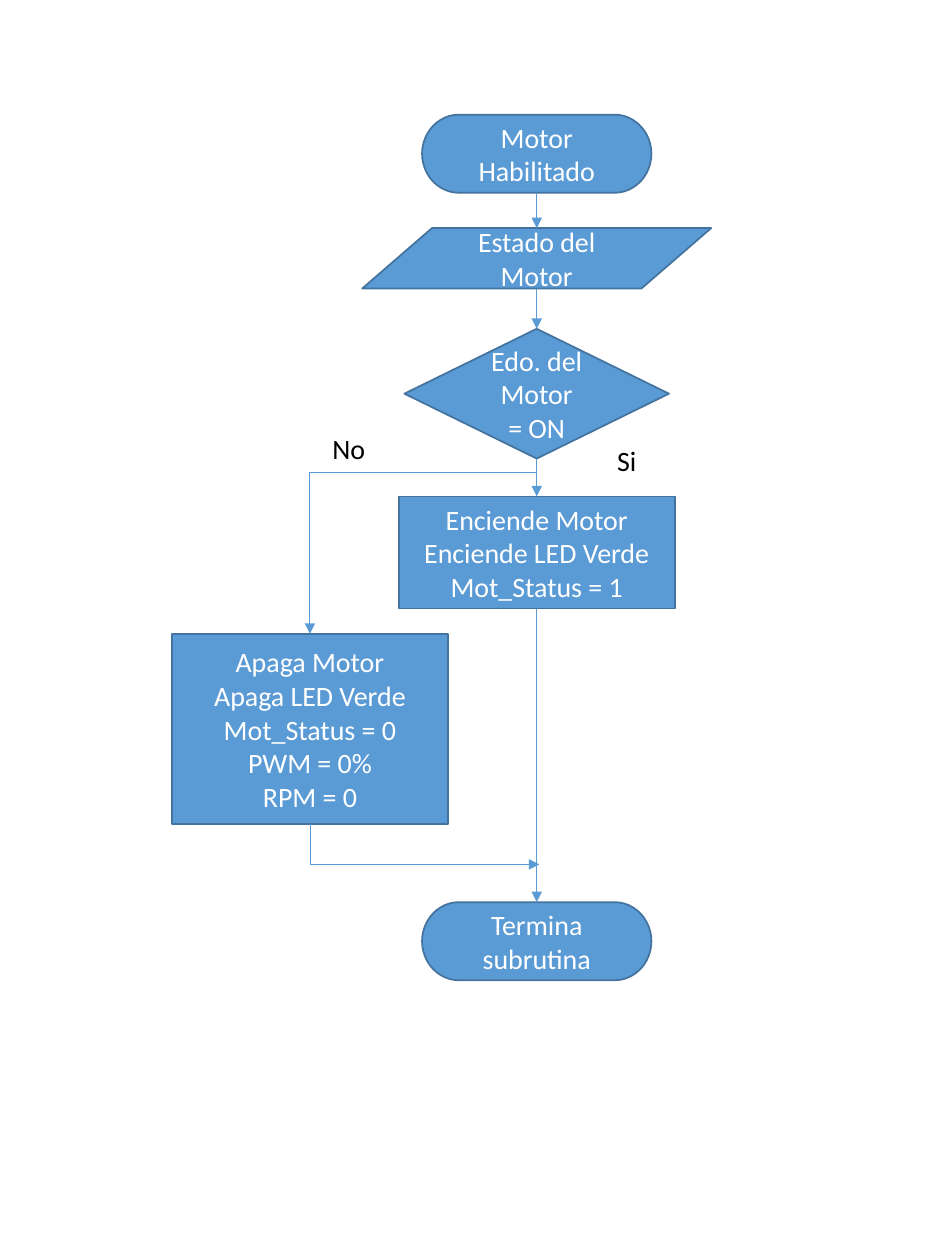
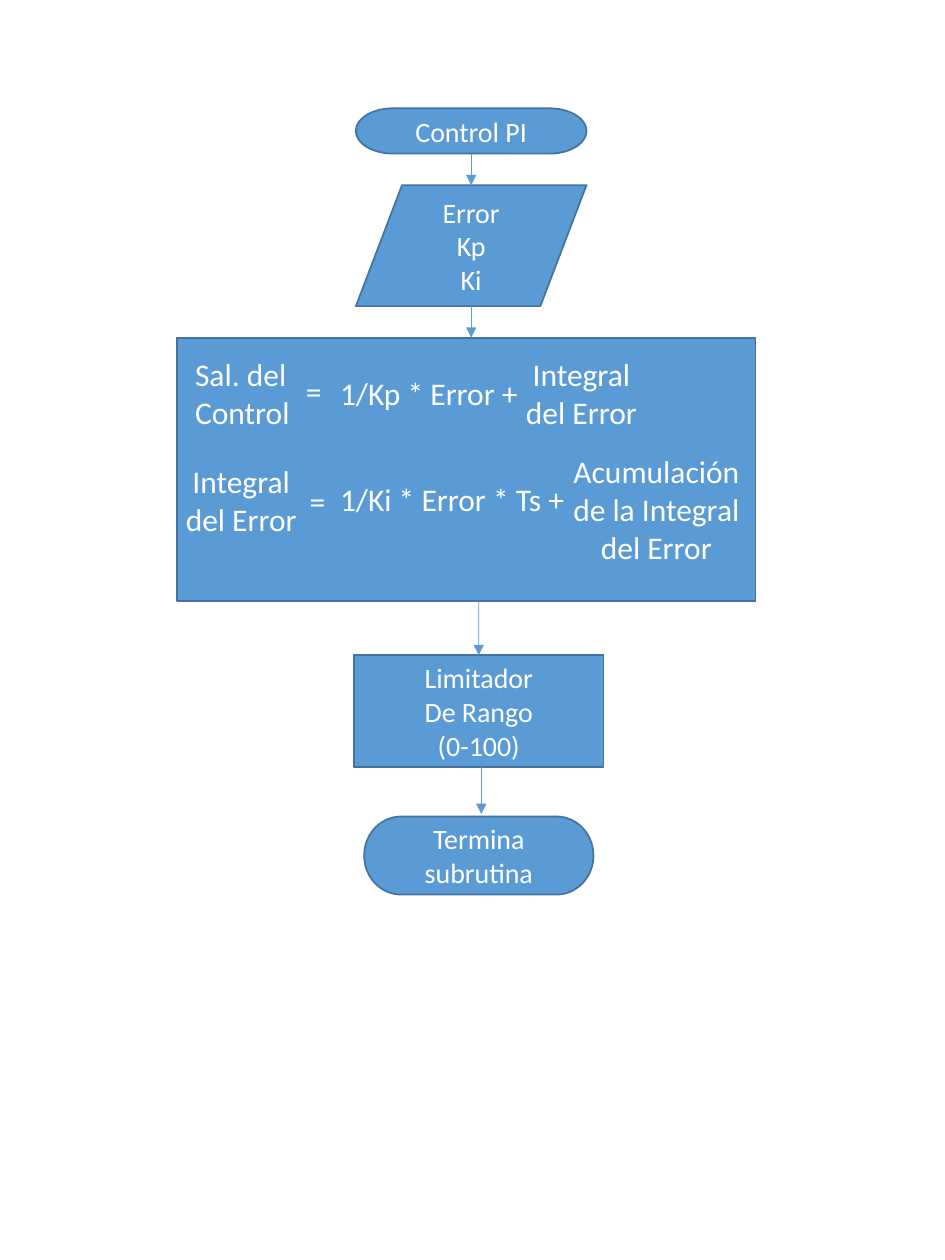
from lxml import etree
from pptx import Presentation
from pptx import util as u
from pptx.dml.color import RGBColor
from pptx.enum import shapes, text
from pptx.oxml import ns

WIDE, HIGH = 7.5, 10
BLUE = RGBColor(0x5B, 0x9B, 0xD5)
EDGE = RGBColor(0x43, 0x73, 0x9E)
WHITE = RGBColor(0xFF, 0xFF, 0xFF)
BLACK = RGBColor(0, 0, 0)
FONT = "Calibri"
TOP, BOTTOM = 0, 2

KIND = shapes.MSO_SHAPE
LINK = shapes.MSO_CONNECTOR
FORMS = {
    "end": KIND.FLOWCHART_TERMINATOR,
    "data": KIND.FLOWCHART_DATA,
    "test": KIND.FLOWCHART_DECISION,
    "step": KIND.FLOWCHART_PROCESS,
}

# Nodes: name -> form, centre x, top, width, height, lines
MID, SIDE = 4.26, 2.46
MOTOR = {
    "start": ("end", MID, 0.91, 1.82, 0.62, ["Motor", "Habilitado"]),
    "state": ("data", MID, 1.81, 2.77, 0.48, ["Estado del Motor"]),
    "check": ("test", MID, 2.61, 2.1, 1.03, ["Edo. del Motor", "= ON"]),
    "on": ("step", MID, 3.94, 2.19, 0.89,
           ["Enciende Motor", "Enciende LED Verde", "Mot_Status = 1"]),
    "off": ("step", SIDE, 5.03, 2.19, 1.51,
            ["Apaga Motor", "Apaga LED Verde", "Mot_Status = 0",
             "PWM = 0%", "RPM = 0"]),
    "stop": ("end", MID, 7.16, 1.82, 0.62, ["Termina subrutina"]),
}
PI = {
    "start": ("end", 3.74, 0.86, 1.83, 0.36, ["Control PI"]),
    "input": ("data", 3.74, 1.47, 1.83, 0.96, ["Error", "Kp", "Ki"]),
    "limit": ("step", 3.8, 5.2, 1.98, 0.89,
              ["Limitador", "De Rango", "(0-100)"]),
    "stop": ("end", 3.8, 6.48, 1.82, 0.62, ["Termina subrutina"]),
}
SUMS = ("step", 3.7, 2.68, 4.59, 2.09, [])

# Arrows: x, top, bottom, node above, node below (None leaves an end free)
MOTOR_ARROWS = [
    (MID, 1.53, 1.81, "start", None),
    (MID, 2.29, 2.61, None, "check"),
    (MID, 3.64, 3.94, "check", "on"),
    (MID, 4.83, 7.16, "on", "stop"),
]
PI_ARROWS = [
    (3.74, 1.22, 1.47, "start", None),
    (3.74, 2.43, 2.68, None, None),
    (3.8, 4.77, 5.2, None, "limit"),
    (3.82, 6.09, 6.46, None, None),
]

# Bends: start, end, end that carries the arrowhead
BENDS = [
    ((SIDE, 6.54), (4.28, 6.86), "tailEnd"),
    ((SIDE, 5.03), (MID, 3.75), "headEnd"),
]

# Labels: left, top, width, height, centred, lines
ANSWERS = [
    (4.8, 3.47, 0.36, 0.37, False, ["Si"]),
    (2.54, 3.38, 0.47, 0.37, False, ["No"]),
]
TERMS = [
    (1.45, 2.77, 0.96, 0.71, False, ["Sal. del", "Control"]),
    (2.33, 2.9, 0.33, 0.4, False, ["="]),
    (2.6, 2.92, 1.69, 0.4, False, ["1/Kp * Error +"]),
    (4.06, 2.77, 1.11, 0.71, True, ["Integral", "del Error"]),
    (1.36, 3.62, 1.11, 0.71, True, ["Integral", "del Error"]),
    (2.36, 3.78, 0.33, 0.4, False, ["="]),
    (2.6, 3.76, 2.12, 0.4, False, ["1/Ki * Error * Ts +"]),
    (4.43, 3.54, 1.56, 1.01, True,
     ["Acumulación", "de la Integral", "del Error"]),
]


def inches(*vals):
    return [u.Inches(v) for v in vals]


def write(frame, lines, size, color, center):
    for i, line in enumerate(lines):
        para = frame.paragraphs[0] if i == 0 else frame.add_paragraph()
        para.alignment = text.PP_ALIGN.CENTER if center else text.PP_ALIGN.LEFT
        run = para.add_run()
        run.text = line
        run.font.size = u.Pt(size)
        run.font.name = FONT
        run.font.color.rgb = color


def add_node(tree, node):
    form, mid, top, wide, high, lines = node
    box = tree.add_shape(FORMS[form], *inches(mid - wide / 2, top, wide, high))
    box.shadow.inherit = False
    box.fill.solid()
    box.fill.fore_color.rgb = BLUE
    box.line.color.rgb = EDGE
    box.line.width = u.Pt(1)
    box.text_frame.word_wrap = True
    box.text_frame.vertical_anchor = text.MSO_ANCHOR.MIDDLE
    write(box.text_frame, lines, 16, WHITE, True)
    return box


def add_label(tree, label, size, color):
    *place, center, lines = label
    frame = tree.add_textbox(*inches(*place)).text_frame
    frame.word_wrap = False
    frame.auto_size = text.MSO_AUTO_SIZE.SHAPE_TO_FIT_TEXT
    write(frame, lines, size, color, center)


def add_link(tree, kind, ends, head="tailEnd"):
    link = tree.add_connector(kind, *inches(*ends))
    link.line.color.rgb = BLUE
    link.line.width = u.Pt(0.5)
    etree.SubElement(link.line._get_or_add_ln(), ns.qn("a:" + head),
                     type="triangle")
    etree.SubElement(link._element.spPr, ns.qn("a:effectLst"))
    return link


def add_arrow(tree, arrow, boxes):
    x, top, low, above, below = arrow
    link = add_link(tree, LINK.STRAIGHT, (x, top, x, low))
    if above:
        link.begin_connect(boxes[above], BOTTOM)
    if below:
        link.end_connect(boxes[below], TOP)


def add_bend(tree, start, end, head):
    """One-corner link that leaves vertically, then runs right."""
    (x1, y1), (x2, y2) = start, end
    wide, high = abs(y2 - y1), abs(x2 - x1)
    left, top = (x1 + x2 - wide) / 2, (y1 + y2 - high) / 2
    link = add_link(tree, LINK.ELBOW, (left, top, left + wide, top + high), head)
    props = link._element.spPr
    props.find(ns.qn("a:prstGeom")).set("prst", "bentConnector2")
    frame = props.find(ns.qn("a:xfrm"))
    down = y2 > y1
    frame.set("rot", str((270 if down else 90) * 60000))
    frame.set("flipH", "1")
    if not down:
        frame.set("flipV", "1")


def add_flow(deck, nodes, arrows):
    tree = deck.slides.add_slide(deck.slide_layouts[6]).shapes
    boxes = {name: add_node(tree, node) for name, node in nodes.items()}
    for arrow in arrows:
        add_arrow(tree, arrow, boxes)
    return tree


def main():
    deck = Presentation()
    deck.slide_width, deck.slide_height = inches(WIDE, HIGH)

    # Motor subroutine
    tree = add_flow(deck, MOTOR, MOTOR_ARROWS)
    for bend in BENDS:
        add_bend(tree, *bend)
    for label in ANSWERS:
        add_label(tree, label, 16, BLACK)

    # PI control subroutine, with its formulas grouped
    tree = add_flow(deck, PI, PI_ARROWS)
    group = tree.add_group_shape().shapes
    add_node(group, SUMS)
    for label in TERMS:
        add_label(group, label, 18, WHITE)

    deck.save("out.pptx")


if __name__ == "__main__":
    main()
